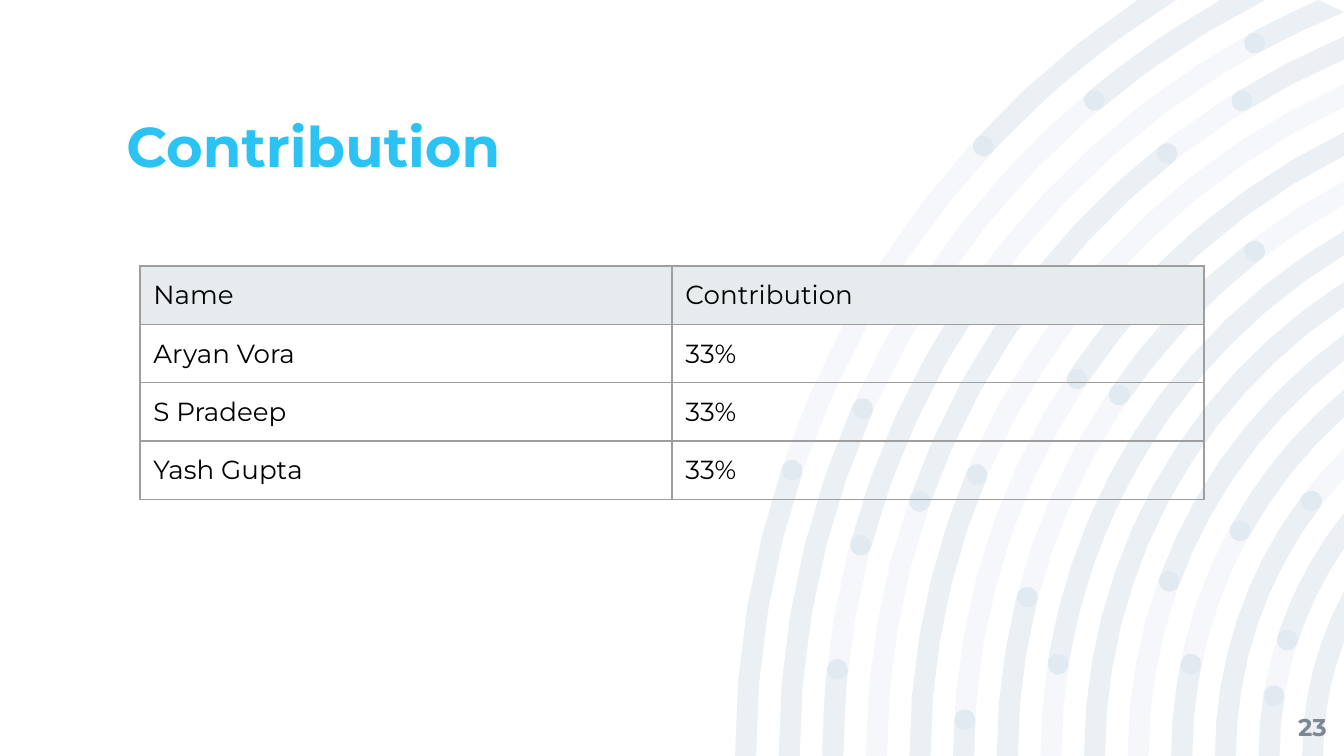
from math import acos, asin, ceil, cos, pi, radians, sin

from lxml import etree
from pptx import Presentation
from pptx.dml.color import RGBColor
from pptx.enum import text
from pptx.oxml.ns import qn
from pptx.util import Pt

FONT = "Montserrat"
NAVY = RGBColor(0x00, 0x45, 0x91)
SKY = RGBColor(0x2A, 0xC3, 0xF3)
SLATE = RGBColor(0x7C, 0x88, 0x94)
BLACK = RGBColor(0x00, 0x00, 0x00)
HEADER = RGBColor(0xE6, 0xEC, 0xEE)
BORDER = RGBColor(0x9E, 0x9E, 0x9E)

SLIDE_W, SLIDE_H = 720, 405
CENTRE = (882, 405)
RADIUS, STEP, BAND = 488.2, 23.37, 11.3
EDGE = None  # the arc runs on to the slide's edge

# Darker arcs on each ring, outermost first, in degrees above the bottom edge
ARCS = [
    [(0, 18.5), (42.6, EDGE)],
    [(0, 23.9), (49.9, EDGE)],
    [(0, 6.1), (15, 34.6), (61.2, EDGE)],
    [(19.3, 51.5), (58.3, EDGE)],
    [(0, 22.8)],
    [(0, 3.05), (33.5, EDGE)],
    [(0, 14.4), (34.4, 52.2)],
    [(8.85, EDGE)],
    [(0, EDGE)],
    [(20.1, EDGE)],
    [(0, 11.4), (29, EDGE)],
    [(0, 37.3)],
    [(0, 9.2), (17.9, EDGE)],
    [(0, EDGE)],
]

ROWS = [("Name", "Contribution"), ("Aryan Vora", "33%"),
        ("S Pradeep", "33%"), ("Yash Gupta", "33%")]


def polar(centre, radius, angle):
    """Point on a circle; angle 0 points left and grows clockwise."""
    return centre[0] - radius * cos(angle), centre[1] - radius * sin(angle)


def sweep(centre, radius, start, end, degrees):
    """Points along a circle, at most the given degrees apart."""
    n = max(1, ceil(abs(end - start) / radians(degrees)))
    return [polar(centre, radius, start + (end - start) * i / n) for i in range(n + 1)]


def edge_angle(radius):
    return min(acos((CENTRE[0] - SLIDE_W) / radius), asin(min(1, SLIDE_H / radius)))


def arc_outline(ring, start, end):
    """Closed outline of an arc, and the centres of its rounded ends."""
    outer = RADIUS - ring * STEP
    inner, middle = outer - BAND, outer - BAND / 2
    a = radians(start)
    ends = [edge_angle(r) if end is EDGE else radians(end) for r in (outer, inner)]
    points, caps = sweep(CENTRE, outer, a, ends[0], 5), []
    if end is not EDGE:
        b = ends[0]
        caps.append(polar(CENTRE, middle, b))
        points += sweep(caps[-1], BAND / 2, b, b + pi, 45)[1:-1]
    points += sweep(CENTRE, inner, ends[1], a, 5)
    if start:
        caps.append(polar(CENTRE, middle, a))
        points += sweep(caps[-1], BAND / 2, a + pi, a + 2 * pi, 45)[1:-1]
    return points, caps


def add_tint(s, outlines):
    """One faint freeform made of several closed outlines."""
    outlines = [[(Pt(x), Pt(y)) for x, y in points] for points in outlines]
    fb = s.shapes.build_freeform(*outlines[0][0])
    for i, points in enumerate(outlines):
        if i:
            fb.move_to(*points[0])
        fb.add_line_segments(points[1:], close=True)
    sp = fb.convert_to_shape()
    sp.shadow.inherit = False
    sp.line.fill.background()
    sp.fill.solid()
    sp.fill.fore_color.rgb = NAVY
    color = sp._element.spPr.find(qn("a:solidFill"))[0]
    etree.SubElement(color, qn("a:alpha"), val="4000")


def add_rings(s):
    arcs = [arc_outline(i, *arc) for i, ring in enumerate(ARCS) for arc in ring]
    dots = [cap for _, caps in arcs for cap in caps]
    add_tint(s, [arc_outline(i, 0, EDGE)[0] for i in range(len(ARCS))])
    add_tint(s, [points for points, _ in arcs])
    add_tint(s, [sweep(dot, BAND / 2, 0, 2 * pi, 36)[:-1] for dot in dots])


def add_label(s, box, words, size, color, anchor, align):
    tf = s.shapes.add_textbox(*map(Pt, box)).text_frame
    tf.word_wrap = True
    tf.vertical_anchor = anchor
    tf.margin_left = tf.margin_right = tf.margin_top = tf.margin_bottom = 0
    p = tf.paragraphs[0]
    p.text = words
    p.alignment = align
    p.font.name, p.font.size, p.font.bold = FONT, Pt(size), True
    p.font.color.rgb = color
    return p


def set_borders(cell):
    tcPr = cell._tc.get_or_add_tcPr()
    for i, side in enumerate(("lnL", "lnR", "lnT", "lnB")):
        ln = etree.Element(qn(f"a:{side}"), w=str(Pt(0.75)))
        fill = etree.SubElement(ln, qn("a:solidFill"))
        etree.SubElement(fill, qn("a:srgbClr"), val=str(BORDER))
        tcPr.insert(i, ln)


def add_contributions(s, box):
    table = s.shapes.add_table(len(ROWS), len(ROWS[0]), *map(Pt, box)).table
    for i, row in enumerate(ROWS):
        for j, words in enumerate(row):
            cell = table.cell(i, j)
            cell.margin_left = cell.margin_right = Pt(7.2)
            cell.margin_top = cell.margin_bottom = Pt(7.2)
            if i == 0:
                cell.fill.solid()
                cell.fill.fore_color.rgb = HEADER
            else:
                cell.fill.background()
            set_borders(cell)
            p = cell.text_frame.paragraphs[0]
            p.text = words
            p.font.name, p.font.size, p.font.bold = FONT, Pt(14), False
            p.font.color.rgb = BLACK


def main():
    prs = Presentation()
    prs.slide_width, prs.slide_height = Pt(SLIDE_W), Pt(SLIDE_H)
    s = prs.slides.add_slide(prs.slide_layouts[6])
    add_rings(s)
    title = add_label(s, (67.7, 65.5, 585.4, 31), "Contribution", 30, SKY,
                      text.MSO_ANCHOR.BOTTOM, text.PP_ALIGN.LEFT)
    title.line_spacing = 0.9
    add_label(s, (667.5, 374, 43.2, 31), "23", 13, SLATE,
              text.MSO_ANCHOR.MIDDLE, text.PP_ALIGN.RIGHT)
    add_contributions(s, (75, 142.5, 570, 124.8))
    prs.save("out.pptx")


if __name__ == "__main__":
    main()
